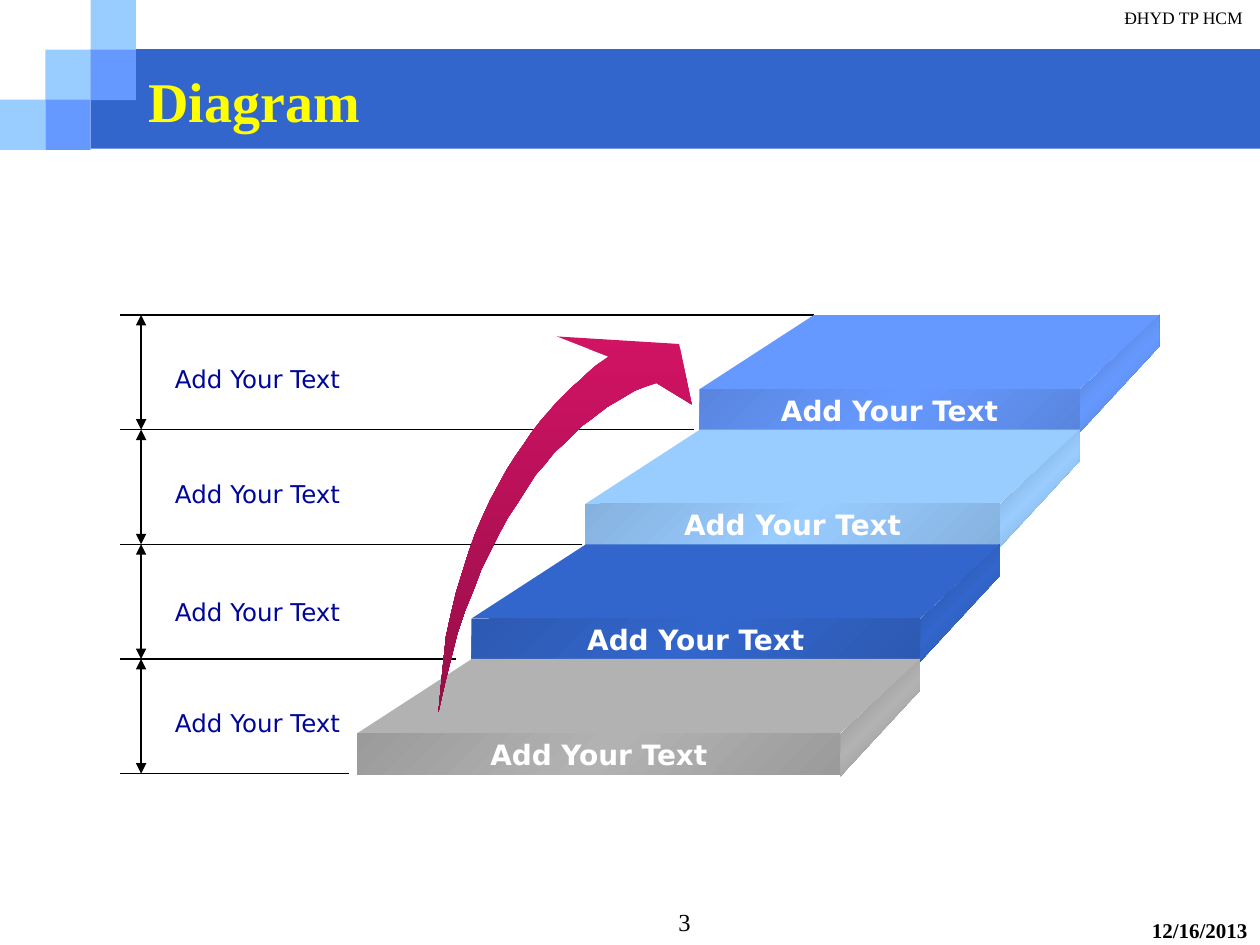
"""Build a slide with a four-step staircase diagram and a rising arrow."""
from dataclasses import dataclass
from copy import deepcopy

from lxml import etree
from pptx import Presentation
from pptx.dml.color import RGBColor
from pptx.enum.shapes import MSO_CONNECTOR, MSO_SHAPE
from pptx.enum.text import MSO_ANCHOR, MSO_AUTO_SIZE, PP_ALIGN
from pptx.oxml.ns import qn
from pptx.util import Inches, Pt

RECT = MSO_SHAPE.RECTANGLE
LINE = MSO_CONNECTOR.STRAIGHT
LEFT, MID, RIGHT = PP_ALIGN.LEFT, PP_ALIGN.CENTER, PP_ALIGN.RIGHT
TOP, CENTER = MSO_ANCHOR.TOP, MSO_ANCHOR.MIDDLE
GROW = MSO_AUTO_SIZE.SHAPE_TO_FIT_TEXT

BLACK = RGBColor(0, 0, 0)
WHITE = RGBColor(255, 255, 255)
YELLOW = RGBColor(255, 255, 0)
NAVY = RGBColor(0x00, 0x07, 0x98)
BLUE = RGBColor(0x33, 0x66, 0xCC)
SKY = RGBColor(0x99, 0xCC, 0xFF)
AZURE = RGBColor(0x66, 0x99, 0xFF)
GRAY = RGBColor(0xB2, 0xB2, 0xB2)
ROSE = RGBColor(0xD1, 0x13, 0x64)
WINE = RGBColor(0x96, 0x0E, 0x48)

SERIF, SANS = "Times New Roman", "DejaVu Sans"
PROMPT = "Add Your Text"
STEP_TOP, STEP_GAP = 2.5, 0.91
DEPTH, FRONT = 0.59, 0.33
CELL_W, CELL_H = 0.36, 0.4

CURVE = [
    (3.48, 5.65), (3.5, 5.44), (3.52, 5.24), (3.54, 5.05), (3.58, 4.87),
    (3.62, 4.7), (3.67, 4.54), (3.72, 4.38), (3.77, 4.24), (3.83, 4.1),
    (3.89, 3.97), (3.96, 3.84), (4.02, 3.73), (4.09, 3.62), (4.16, 3.52),
    (4.22, 3.43), (4.29, 3.34), (4.36, 3.26), (4.42, 3.19), (4.48, 3.13),
    (4.54, 3.07), (4.6, 3.02), (4.65, 2.97), (4.73, 2.9), (4.83, 2.83),
    (4.42, 2.67), (5.39, 2.73), (5.49, 3.21), (5.21, 3.04), (5.12, 3.07),
    (5.04, 3.1), (4.94, 3.16), (4.82, 3.23), (4.69, 3.33), (4.62, 3.38),
    (4.55, 3.45), (4.48, 3.52), (4.4, 3.59), (4.33, 3.68), (4.25, 3.77),
    (4.18, 3.88), (4.11, 3.99), (4.03, 4.11), (3.96, 4.24), (3.89, 4.38),
    (3.82, 4.52), (3.76, 4.68), (3.69, 4.85), (3.63, 5.03), (3.58, 5.23),
    (3.53, 5.43),
]


@dataclass
class Style:
    size: int
    color: RGBColor
    font: str = SERIF
    bold: bool = False
    align: PP_ALIGN = LEFT
    anchor: MSO_ANCHOR = TOP


@dataclass
class Step:
    color: RGBColor
    side: RGBColor
    edge: RGBColor
    rule_end: float
    label_top: float


STEPS = [
    Step(AZURE, RGBColor(0x49, 0x6D, 0xB6), RGBColor(0x59, 0x85, 0xDE), 6.46, 2.84),
    Step(SKY, RGBColor(0x6D, 0x92, 0xB6), RGBColor(0x85, 0xB1, 0xDE), 5.51, 3.75),
    Step(BLUE, RGBColor(0x24, 0x49, 0x92), RGBColor(0x2C, 0x59, 0xB1), 4.62, 4.69),
    Step(GRAY, RGBColor(0x7F, 0x7F, 0x7F), RGBColor(0x9B, 0x9B, 0x9B), 3.62, 5.57),
]
LABEL = Style(14, NAVY, SANS)
CAPTION = Style(16, WHITE, SANS, True, MID, CENTER)


def paint(shape, colors: list[RGBColor], angle: int = 45) -> None:
    """Fill a shape with one colour or an even gradient, clockwise angle."""
    shape.shadow.inherit = False
    shape.line.fill.background()
    fill = shape.fill
    if len(colors) == 1:
        fill.solid()
        fill.fore_color.rgb = colors[0]
        return
    fill.gradient()
    fill.gradient_angle = 360 - angle
    stops = next(shape._element.iter(qn("a:gsLst")))
    while len(stops) < len(colors):
        stops.append(deepcopy(stops[0]))
    for spot, (stop, color) in enumerate(zip(fill.gradient_stops, colors)):
        stop.position = spot / (len(colors) - 1)
        stop.color.rgb = color


def write(shape, text: str, style: Style, wrap: bool = True) -> None:
    """Set the text of a shape in the given style."""
    frame = shape.text_frame
    frame.text = text
    frame.word_wrap = wrap
    frame.vertical_anchor = style.anchor
    line = frame.paragraphs[0]
    line.alignment = style.align
    font = line.runs[0].font
    font.name, font.size, font.bold = style.font, Pt(style.size), style.bold
    font.color.rgb = style.color


def add_text(shapes, box: tuple, text: str, style: Style, wrap: bool = True):
    """Add a text box and return it."""
    shape = shapes.add_textbox(*map(Inches, box))
    write(shape, text, style, wrap)
    return shape


def add_rect(shapes, box: tuple, *colors: RGBColor):
    """Add a filled rectangle and return it."""
    shape = shapes.add_shape(RECT, *map(Inches, box))
    paint(shape, list(colors))
    return shape


def add_form(shapes, points: list, *colors: RGBColor, angle: int = 45) -> None:
    """Add a closed outline through points given in inches."""
    spots = [(Inches(x), Inches(y)) for x, y in points]
    pen = shapes.build_freeform(*spots[0])
    pen.add_line_segments(spots[1:], close=True)
    paint(pen.convert_to_shape(), list(colors), angle)


def add_line(shapes, start: tuple, end: tuple, heads: bool = False) -> None:
    """Add a thin black line, with arrowheads at both ends if asked."""
    line = shapes.add_connector(LINE, *map(Inches, start + end))
    line.line.color.rgb = BLACK
    line.line.width = Pt(0.75)
    props = line._element.spPr
    if heads:
        for tag in ("a:headEnd", "a:tailEnd"):
            etree.SubElement(props.find(qn("a:ln")), qn(tag), type="triangle")
    etree.SubElement(props, qn("a:effectLst"))


def add_step(shapes, index: int, step: Step) -> None:
    """Draw the side, top and front of one stair."""
    top = STEP_TOP + STEP_GAP * index
    left, right = 5.55 - 0.905 * index, 8.57 - 0.633 * index
    back, low = right + 0.63, top + DEPTH
    add_form(shapes, [(back, top + 0.25), (right, top + 0.93),
                      (right, top + 0.6), (back, top)],
             step.side, step.color, step.side)
    add_form(shapes, [(right, low), (left, low), (left + 0.91, top), (back, top)],
             step.color)
    front = add_rect(shapes, (left, low, right - left, FRONT),
                     step.edge, step.color, step.edge)
    write(front, PROMPT, CAPTION, False)


def add_frame(shapes) -> None:
    """Draw the title band, corner squares and the page texts."""
    add_rect(shapes, (0.72, 0.39, 9.28, 0.79), BLUE)
    for col, row, color in [(0, 2, SKY), (1, 1, SKY), (2, 0, SKY),
                            (2, 1, AZURE), (1, 2, AZURE)]:
        add_rect(shapes, (col * CELL_W, row * 0.395, CELL_W, CELL_H), color)
    add_text(shapes, (6.79, 0.01, 3.17, 0.35), "ĐHYD TP HCM",
             Style(10, BLACK, align=RIGHT))
    add_text(shapes, (7.17, 7.23, 2.83, 0.26), "12/16/2013",
             Style(12, BLACK, bold=True, align=RIGHT))
    add_text(shapes, (1.08, 0.42, 8.92, 0.75), "Diagram",
             Style(32, YELLOW, bold=True, anchor=CENTER))
    add_text(shapes, (3.25, 7.15, 2.33, 0.35), "3", Style(14, BLACK, align=RIGHT))


def main() -> None:
    """Build and save the slide."""
    deck = Presentation()
    deck.slide_width, deck.slide_height = Inches(10), Inches(7.5)
    shapes = deck.slides.add_slide(deck.slide_layouts[6]).shapes
    add_frame(shapes)
    for index, end in enumerate([step.rule_end for step in STEPS] + [2.77]):
        level = STEP_TOP + STEP_GAP * index
        add_line(shapes, (end, level), (0.95, level))
    for index, step in enumerate(STEPS):
        level = STEP_TOP + STEP_GAP * index
        add_line(shapes, (1.12, level), (1.12, level + STEP_GAP), True)
        label = add_text(shapes, (1.29, step.label_top, 1.59, 0.33),
                         PROMPT, LABEL, False)
        label.text_frame.auto_size = GROW
    for index, step in enumerate(STEPS):
        add_step(shapes, index, step)
    add_form(shapes, CURVE, ROSE, WINE, angle=90)
    deck.save("out.pptx")


if __name__ == "__main__":
    main()
